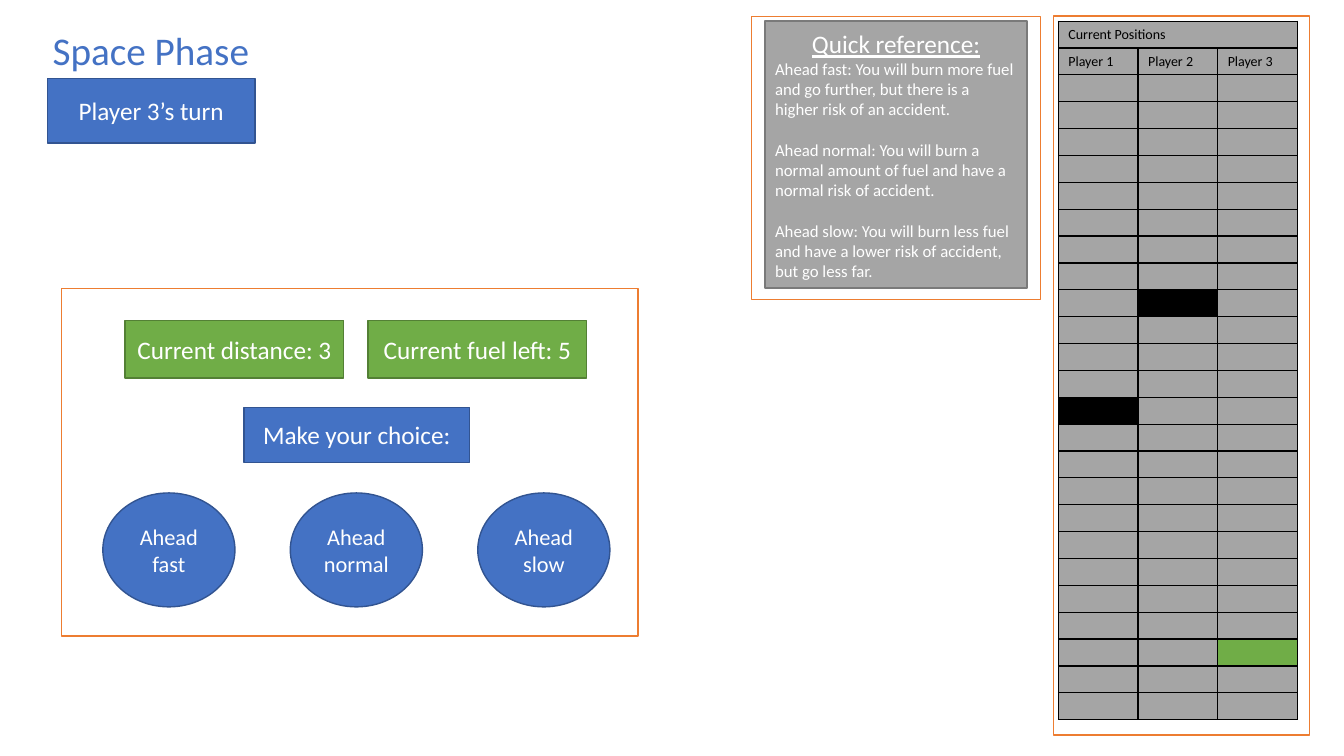
from lxml.etree import SubElement
from pptx import Presentation
from pptx.dml.color import RGBColor
from pptx.enum.shapes import MSO_SHAPE
from pptx.enum.text import MSO_ANCHOR, MSO_AUTO_SIZE, PP_ALIGN
from pptx.oxml.ns import qn
from pptx.util import Inches, Pt

SLIDE_WIDTH, SLIDE_HEIGHT = Inches(13.333), Inches(7.5)
FONT = "Calibri"
WHITE = RGBColor(0xFF, 0xFF, 0xFF)
BLACK = RGBColor(0x00, 0x00, 0x00)
BLUE = RGBColor(0x44, 0x72, 0xC4)
DARK_BLUE = RGBColor(0x32, 0x54, 0x91)
GREEN = RGBColor(0x70, 0xAD, 0x47)
DARK_GREEN = RGBColor(0x53, 0x80, 0x35)
GRAY = RGBColor(0xA5, 0xA5, 0xA5)
DARK_GRAY = RGBColor(0x7A, 0x7A, 0x7A)
ORANGE = RGBColor(0xED, 0x7D, 0x31)

PLAYERS = ["Player 1", "Player 2", "Player 3"]
TRACK_ROWS = 26
MARKERS = {(10, 1): BLACK, (14, 0): BLACK, (23, 2): GREEN}
CHOICES = [["Ahead fast"], ["Ahead normal"], ["Ahead", "slow"]]
REFERENCE = [
    "Ahead fast: You will burn more fuel and go further, but there is a higher risk of an accident.",
    "Ahead normal: You will burn a normal amount of fuel and have a normal risk of accident.",
    "Ahead slow: You will burn less fuel and have a lower risk of accident, but go less far.",
]


def area(left, top, width, height):
    """Turn percentages of the slide's size into lengths."""
    return (int(SLIDE_WIDTH * left / 100), int(SLIDE_HEIGHT * top / 100),
            int(SLIDE_WIDTH * width / 100), int(SLIDE_HEIGHT * height / 100))


def add_span(para, text, size, color, underline=None):
    span = para.add_run()
    span.text = text
    span.font.name = FONT
    span.font.size = Pt(size)
    span.font.color.rgb = color
    span.font.underline = underline


def add_box(page, place, fill, line, kind=MSO_SHAPE.RECTANGLE, line_width=1):
    box = page.shapes.add_shape(kind, *area(*place))
    box.shadow.inherit = False
    if fill is None:
        box.fill.background()
    else:
        box.fill.solid()
        box.fill.fore_color.rgb = fill
    box.line.color.rgb = line
    box.line.width = Pt(line_width)
    return box


def add_label(page, place, lines, fill, line, size=18, kind=MSO_SHAPE.RECTANGLE):
    frame = add_box(page, place, fill, line, kind).text_frame
    frame.word_wrap = True
    frame.vertical_anchor = MSO_ANCHOR.MIDDLE
    for index, text in enumerate(lines):
        para = frame.add_paragraph() if index else frame.paragraphs[0]
        para.alignment = PP_ALIGN.CENTER
        add_span(para, text, size, WHITE)


def add_title(page, place, text):
    title = page.shapes.title
    title.left, title.top, title.width, title.height = area(*place)
    frame = title.text_frame
    frame.word_wrap = False
    frame.auto_size = MSO_AUTO_SIZE.SHAPE_TO_FIT_TEXT
    frame.vertical_anchor = MSO_ANCHOR.TOP
    para = frame.paragraphs[0]
    para.alignment = PP_ALIGN.CENTER
    add_span(para, text, 28, BLUE)


def add_reference(page, place):
    frame = add_box(page, place, GRAY, DARK_GRAY).text_frame
    frame.word_wrap = True
    frame.vertical_anchor = MSO_ANCHOR.MIDDLE
    heading = frame.paragraphs[0]
    heading.alignment = PP_ALIGN.CENTER
    add_span(heading, "Quick reference:", 18, WHITE, underline=True)
    for index, text in enumerate(REFERENCE):
        para = frame.add_paragraph()
        para.alignment = PP_ALIGN.LEFT
        para.space_before = Pt(14.6 if index else 0)
        add_span(para, text, 12, WHITE)


def style_cell(cell, fill):
    """Give a cell black borders, a fill and small text height."""
    properties = cell._tc.get_or_add_tcPr()
    for side in ("a:lnL", "a:lnR", "a:lnT", "a:lnB"):
        border = SubElement(properties, qn(side), w=str(Pt(1)))
        solid = SubElement(border, qn("a:solidFill"))
        SubElement(solid, qn("a:srgbClr"), val=str(BLACK))
    cell.fill.solid()
    cell.fill.fore_color.rgb = fill
    cell.margin_top = cell.margin_bottom = Inches(0.04)
    cell.vertical_anchor = MSO_ANCHOR.MIDDLE
    SubElement(cell.text_frame.paragraphs[0]._p, qn("a:endParaRPr"), sz="1000")


def add_positions(page, place):
    left, top, width, height = area(*place)
    table = page.shapes.add_table(TRACK_ROWS, len(PLAYERS), left, top, width, height).table
    table.first_row = table.horz_banding = False
    for column in table.columns:
        column.width = width // len(PLAYERS)
    for row in table.rows:
        row.height = height // TRACK_ROWS
    texts = {(1, column): player for column, player in enumerate(PLAYERS)}
    texts[0, 0] = "Current Positions"
    for row in range(TRACK_ROWS):
        for column in range(len(PLAYERS)):
            cell = table.cell(row, column)
            if (row, column) in texts:
                add_span(cell.text_frame.paragraphs[0], texts[row, column], 10, BLACK)
            style_cell(cell, MARKERS.get((row, column), GRAY))
    table.cell(0, 0).merge(table.cell(0, len(PLAYERS) - 1))


def main():
    deck = Presentation()
    deck.slide_width, deck.slide_height = SLIDE_WIDTH, SLIDE_HEIGHT
    page = deck.slides.add_slide(deck.slide_layouts[5])

    add_title(page, (3.08, 2.8, 16.28, 7.6), "Space Phase")
    add_positions(page, (78.75, 2.8, 17.78, 92.4))
    add_label(page, (3.53, 10.4, 15.45, 8.53), ["Player 3’s turn"], BLUE, DARK_BLUE)
    for left, status in ((9.3, "Current distance: 3"), (27.38, "Current fuel left: 5")):
        add_label(page, (left, 42.4, 16.28, 7.6), [status], GREEN, DARK_GREEN)
    add_label(page, (18.15, 53.87, 16.8, 7.33), ["Make your choice:"], BLUE, DARK_BLUE)
    for index, lines in enumerate(CHOICES):
        add_label(page, (7.65 + 13.95 * index, 65.2, 9.83, 15.07), lines,
                  BLUE, DARK_BLUE, 16, MSO_SHAPE.OVAL)
    add_reference(page, (56.93, 2.8, 19.5, 35.33))

    add_box(page, (4.58, 38.13, 42.9, 46), None, ORANGE)
    add_box(page, (55.95, 2.13, 21.45, 37.47), None, ORANGE, line_width=0.75)
    add_box(page, (78.38, 2.13, 19.05, 95.07), None, ORANGE)
    deck.save("out.pptx")


if __name__ == "__main__":
    main()
